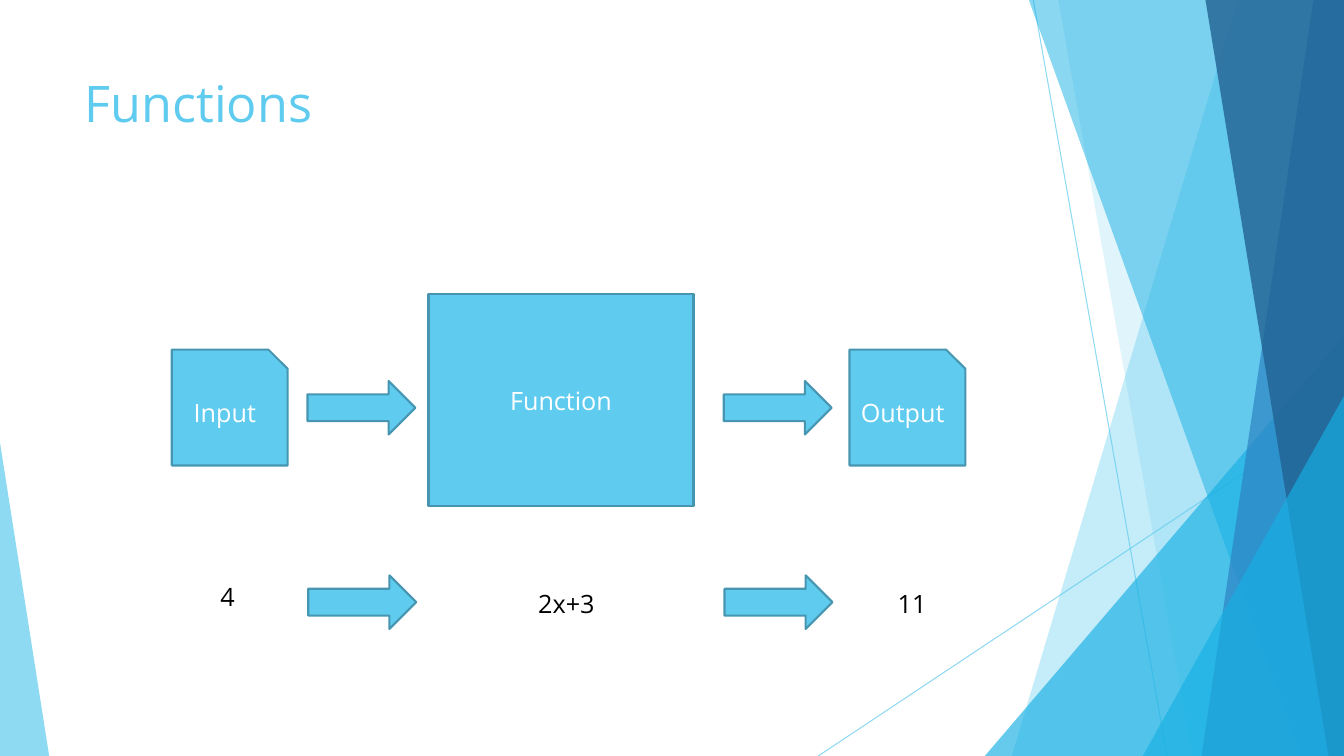
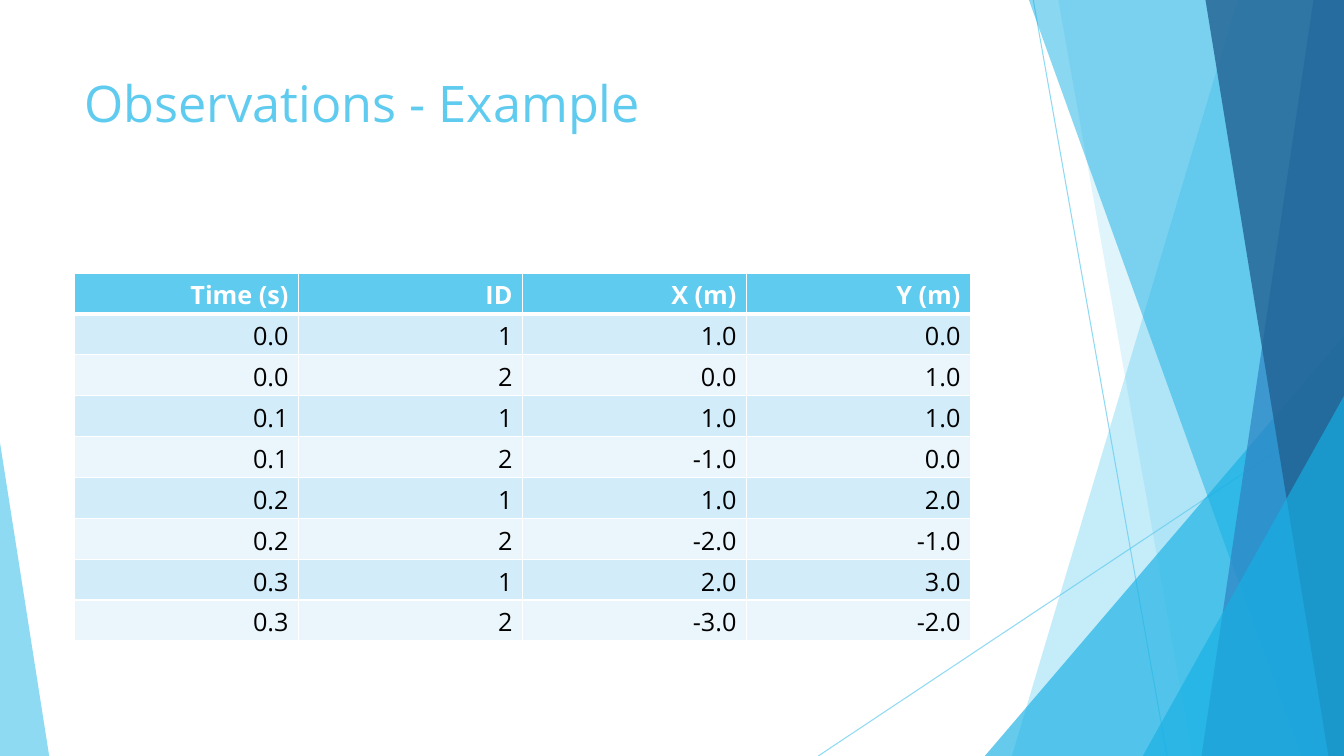
from lxml import etree
from pptx import Presentation
from pptx.dml.color import RGBColor
from pptx.enum.shapes import MSO_CONNECTOR, MSO_SHAPE
from pptx.enum.text import MSO_ANCHOR, MSO_AUTO_SIZE, PP_ALIGN
from pptx.oxml.ns import qn
from pptx.util import Cm, Pt

SKY = RGBColor(0x5F, 0xCB, 0xEF)
CYAN = RGBColor(0x17, 0xB0, 0xE4)
BLUE = RGBColor(0x2E, 0x83, 0xC3)
NAVY = RGBColor(0x22, 0x62, 0x92)
OUTLINE = RGBColor(0x46, 0x96, 0xB1)
ROW_DARK = RGBColor(0xD2, 0xEC, 0xF9)
ROW_LIGHT = RGBColor(0xEA, 0xF6, 0xFC)
WHITE = RGBColor(0xFF, 0xFF, 0xFF)
BLACK = RGBColor(0x00, 0x00, 0x00)

RECTANGLE = MSO_SHAPE.RECTANGLE
CARD = MSO_SHAPE.SNIP_1_RECTANGLE
ARROW = MSO_SHAPE.RIGHT_ARROW
TRIANGLE = MSO_SHAPE.ISOSCELES_TRIANGLE
STRAIGHT = MSO_CONNECTOR.STRAIGHT
LEFT, CENTER, RIGHT = PP_ALIGN.LEFT, PP_ALIGN.CENTER, PP_ALIGN.RIGHT
MIDDLE = MSO_ANCHOR.MIDDLE
GROW = MSO_AUTO_SIZE.SHAPE_TO_FIT_TEXT

FONT = "Open Sans"
WIDTH, HEIGHT = 33.87, 19.05
BLANK_LAYOUT = 6


class SlideBuilder:
    """Holds the deck's style and draws on the current slide."""

    def __init__(self):
        """Start an empty widescreen deck."""
        self.deck = Presentation()
        self.deck.slide_width = Cm(WIDTH)
        self.deck.slide_height = Cm(HEIGHT)
        self.page = None

    def new_page(self, title):
        """Add a slide with the shared backdrop and a title."""
        layout = self.deck.slide_layouts[BLANK_LAYOUT]
        self.page = self.deck.slides.add_slide(layout)
        self.backdrop()
        self.text(title, 1.88, 1.7, 23.88, 3.66, SKY, 36, LEFT)

    def backdrop(self):
        """Draw the thin lines and translucent facets."""
        self.line(26.04, 0, 29.41, HEIGHT)
        self.line(WIDTH, 10.24, 20.62, HEIGHT)
        self.band(31.19, 25.5, SKY, 36)
        self.band(26.67, 30.05, SKY, 20)
        self.triangle(24.82, 8.46, WIDTH - 24.82, 1, CYAN, 66)
        self.band(25.93, 32.79, CYAN, 50)
        self.band(33.1, 30.28, BLUE, 70)
        self.band(30.38, 33.48, NAVY, 80)
        self.triangle(28.8, 9.98, WIDTH - 28.8, 1, CYAN, 66)
        self.triangle(0, 11.15, 1.24, 0, SKY, 70)

    def fade(self, shape, opacity):
        """Make the shape's colour translucent, with opacity in percent."""
        for color in shape.element.spPr.iter(qn("a:srgbClr")):
            etree.SubElement(color, qn("a:alpha"), val=str(opacity * 1000))

    def line(self, x1, y1, x2, y2):
        """Draw a thin translucent line."""
        line = self.page.shapes.add_connector(STRAIGHT, Cm(x1), Cm(y1), Cm(x2), Cm(y2))
        line.line.color.rgb = SKY
        line.line.width = Pt(0.75)
        self.fade(line, 70)
        etree.SubElement(line.element.spPr, qn("a:effectLst"))

    def facet(self, shape, color, opacity):
        """Style a backdrop shape."""
        shape.shadow.inherit = False
        shape.fill.solid()
        shape.fill.fore_color.rgb = color
        shape.line.fill.background()
        self.fade(shape, opacity)

    def band(self, top_x, bottom_x, color, opacity):
        """Fill from a slanted edge to the right side of the slide."""
        outline = self.page.shapes.build_freeform(Cm(top_x), Cm(0))
        corners = [(WIDTH, 0), (WIDTH, HEIGHT), (bottom_x, HEIGHT)]
        outline.add_line_segments([(Cm(x), Cm(y)) for x, y in corners])
        self.facet(outline.convert_to_shape(), color, opacity)

    def triangle(self, left, top, width, apex, color, opacity):
        """Draw a right triangle standing on the bottom edge."""
        shape = self.page.shapes.add_shape(
            TRIANGLE, Cm(left), Cm(top), Cm(width), Cm(HEIGHT - top))
        shape.adjustments[0] = apex
        self.facet(shape, color, opacity)

    def style_text(self, para, text, color, size=18, align=CENTER, bold=False):
        """Put styled text into a paragraph."""
        para.text = text
        para.alignment = align
        para.font.name = FONT
        para.font.size = Pt(size)
        para.font.bold = bold
        para.font.color.rgb = color

    def text(self, text, left, top, width, height, color=BLACK, size=18, align=CENTER):
        """Add a wrapped text box."""
        box = self.page.shapes.add_textbox(Cm(left), Cm(top), Cm(width), Cm(height))
        box.text_frame.word_wrap = True
        if size == 18:
            box.text_frame.auto_size = GROW
        self.style_text(box.text_frame.paragraphs[0], text, color, size, align)

    def block(self, kind, left, top, width, height, text=None):
        """Add an outlined preset shape, with a label if given."""
        shape = self.page.shapes.add_shape(kind, Cm(left), Cm(top), Cm(width), Cm(height))
        shape.shadow.inherit = False
        shape.fill.solid()
        shape.fill.fore_color.rgb = SKY
        shape.line.color.rgb = OUTLINE
        shape.line.width = Pt(1.5)
        if text:
            shape.text_frame.vertical_anchor = MIDDLE
            self.style_text(shape.text_frame.paragraphs[0], text, WHITE)

    def border(self, cell, side, points):
        """Draw one white cell border."""
        edge = etree.SubElement(
            cell._tc.get_or_add_tcPr(), qn(f"a:ln{side}"), w=str(Pt(points)))
        fill = etree.SubElement(edge, qn("a:solidFill"))
        etree.SubElement(fill, qn("a:srgbClr"), val=str(WHITE))

    def table(self, rows, left, top, width, height):
        """Add a right-aligned table with a header and banded rows."""
        frame = self.page.shapes.add_table(
            len(rows), len(rows[0]), Cm(left), Cm(top), Cm(width), Cm(height))
        frame.table.horz_banding = False
        for i, row in enumerate(rows):
            header = i == 0
            fill = SKY if header else (ROW_LIGHT, ROW_DARK)[i % 2]
            edges = {"L": 1, "R": 1, "T": 3 if i == 1 else 1, "B": 3 if header else 1}
            for j, value in enumerate(row):
                cell = frame.table.cell(i, j)
                for side, points in edges.items():
                    self.border(cell, side, points)
                cell.fill.solid()
                cell.fill.fore_color.rgb = fill
                self.style_text(cell.text_frame.paragraphs[0], value,
                                WHITE if header else BLACK, align=RIGHT, bold=header)


def functions_page(slides):
    """Show a function turning an input into an output."""
    slides.new_page("Functions")
    slides.block(RECTANGLE, 10.8, 7.42, 6.68, 5.33, "Function")
    for label, left in (("Input", 4.33), ("Output", 21.41)):
        slides.block(CARD, left, 8.81, 2.92, 2.92, label)
    for left, top in ((7.75, 9.6), (7.77, 14.5)):
        for offset in (0, 10.49):
            slides.block(ARROW, left + offset, top, 2.72, 1.35)
    for value, left, top in (("4", 3.68, 14.53), ("2x+3", 12.22, 14.71), ("11", 20.93, 14.71)):
        slides.text(value, left, top, 4.11, 1.02)


def observations_page(slides):
    """Show a table of sample observations."""
    slides.new_page("Observations - Example")
    rows = [
        ("Time (s)", "ID", "X (m)", "Y (m)"),
        ("0.0", "1", "1.0", "0.0"),
        ("0.0", "2", "0.0", "1.0"),
        ("0.1", "1", "1.0", "1.0"),
        ("0.1", "2", "-1.0", "0.0"),
        ("0.2", "1", "1.0", "2.0"),
        ("0.2", "2", "-2.0", "-1.0"),
        ("0.3", "1", "2.0", "3.0"),
        ("0.3", "2", "-3.0", "-2.0"),
    ]
    slides.table(rows, 1.88, 6.88, 22.58, 9.27)


def main():
    """Build and save the deck."""
    slides = SlideBuilder()
    functions_page(slides)
    observations_page(slides)
    slides.deck.save("out.pptx")


if __name__ == "__main__":
    main()
